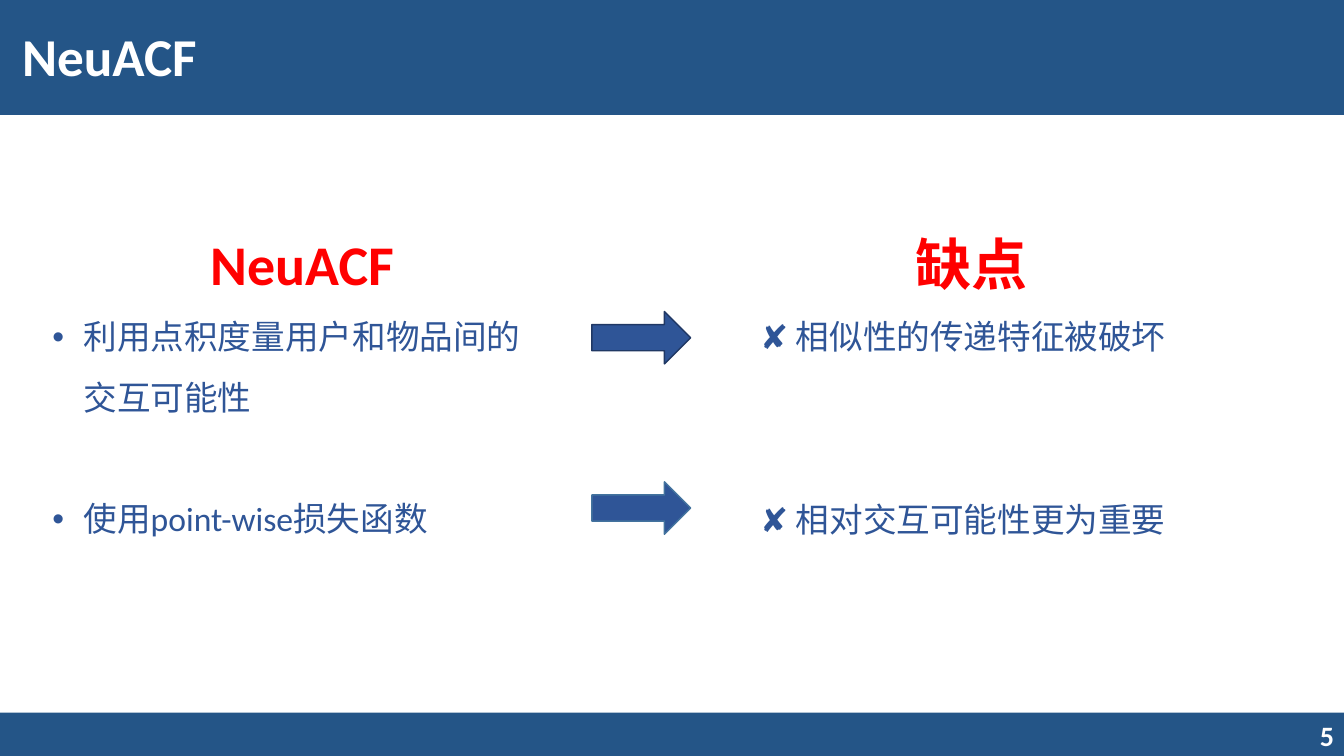
from lxml.etree import SubElement
from pptx import Presentation
from pptx.dml.color import RGBColor
from pptx.enum.shapes import MSO_SHAPE
from pptx.enum.text import MSO_ANCHOR, PP_ALIGN
from pptx.oxml.ns import qn
from pptx.util import Inches, Pt

COLORS = {"band": "245587", "white": "FFFFFF", "heading": "FF0000",
          "body": "2F5597", "edge_dark": "203864", "edge_light": "43739E"}
WIDTH, HEIGHT = 13.33, 7.5
BLANK_LINE = 43.6


def rgb(name):
    """Return the named colour."""
    return RGBColor.from_string(COLORS[name])


def add_shape(s, kind, x, y, w, h, fill, line=None):
    """Draw a filled preset shape, outlined if a line colour is given."""
    sp = s.shapes.add_shape(kind, Inches(x), Inches(y), Inches(w), Inches(h))
    sp.shadow.inherit = False
    sp.fill.solid()
    sp.fill.fore_color.rgb = rgb(fill)
    if line:
        sp.line.color.rgb = rgb(line)
        sp.line.width = Pt(1)
    else:
        sp.line.fill.background()
    return sp


def add_box(s, x, y, w, h, anchor=MSO_ANCHOR.TOP):
    """Add a wrapping text box and return its text frame."""
    tf = s.shapes.add_textbox(Inches(x), Inches(y), Inches(w), Inches(h)).text_frame
    tf.word_wrap = True
    tf.vertical_anchor = anchor
    return tf


def write(tf, text, size=24, color="body", bold=False, align=PP_ALIGN.LEFT,
          spacing=1.0, before=0, bullet=False):
    """Write one formatted paragraph into a text frame."""
    p = tf.add_paragraph() if tf.text else tf.paragraphs[0]
    p.alignment, p.line_spacing, p.space_before = align, spacing, Pt(before)
    if bullet:
        pPr = p._p.get_or_add_pPr()
        pPr.set("marL", str(Inches(0.31)))
        pPr.set("indent", str(-Inches(0.31)))
        SubElement(pPr, qn("a:buFont")).set("typeface", "Arial")
        SubElement(pPr, qn("a:buChar")).set("char", "•")
    r = p.add_run()
    r.text = text
    r.font.name, r.font.size, r.font.bold = "Calibri", Pt(size), bold
    r.font.color.rgb = rgb(color)


def add_header(s, x, y, w, h, title):
    """Draw the title band."""
    add_shape(s, MSO_SHAPE.RECTANGLE, x, y, w, h, "band")
    tf = add_box(s, x + 0.12, y + 0.18, w - 0.12, 0.74)
    write(tf, title, size=38, color="white", bold=True)


def add_footer(s, x, y, w, h, number):
    """Draw the bottom band with the page number at its right end."""
    add_shape(s, MSO_SHAPE.RECTANGLE, x, y, w, h, "band")
    tf = add_box(s, x + w - 0.58, y + 0.02, 0.58, 0.4, MSO_ANCHOR.MIDDLE)
    write(tf, number, size=20, color="white", bold=True, align=PP_ALIGN.RIGHT)


def add_column(s, x, y, w, h, heading, points, gap_lines, bullet=False):
    """Write a centred heading with points set apart by a number of lines."""
    tf = add_box(s, x, y, w, h)
    write(tf, heading, size=40, color="heading", bold=True,
          align=PP_ALIGN.CENTER, spacing=1.5)
    for i, point in enumerate(points):
        write(tf, point, spacing=1.5, bullet=bullet,
              before=BLANK_LINE * gap_lines if i else 0)


def add_comparison(s, x, y, h):
    """Place the method, the arrows and the drawbacks side by side."""
    add_column(s, x, y, 5.15, h, "NeuACF",
               ["利用点积度量用户和物品间的交互可能性", "使用point-wise损失函数"],
               gap_lines=1, bullet=True)
    for i, edge in enumerate(["edge_dark", "edge_light"]):
        add_shape(s, MSO_SHAPE.RIGHT_ARROW, x + 5.45, y + 1.2 + 1.69 * i,
                  0.98, 0.52, "body", edge)
    add_column(s, x + 7.02, y, 4.39, h, "缺点",
               ["✘ 相似性的传递特征被破坏", "✘ 相对交互可能性更为重要"], gap_lines=2)


def main():
    """Build and save the slide."""
    prs = Presentation()
    prs.slide_width, prs.slide_height = Inches(WIDTH), Inches(HEIGHT)
    s = prs.slides.add_slide(prs.slide_layouts[6])
    add_header(s, 0, 0, WIDTH, 1.14, "NeuACF")
    add_footer(s, 0, 7.07, WIDTH, 0.43, "5")
    add_comparison(s, 0.42, 1.89, 3.47)
    prs.save("out.pptx")


if __name__ == "__main__":
    main()
